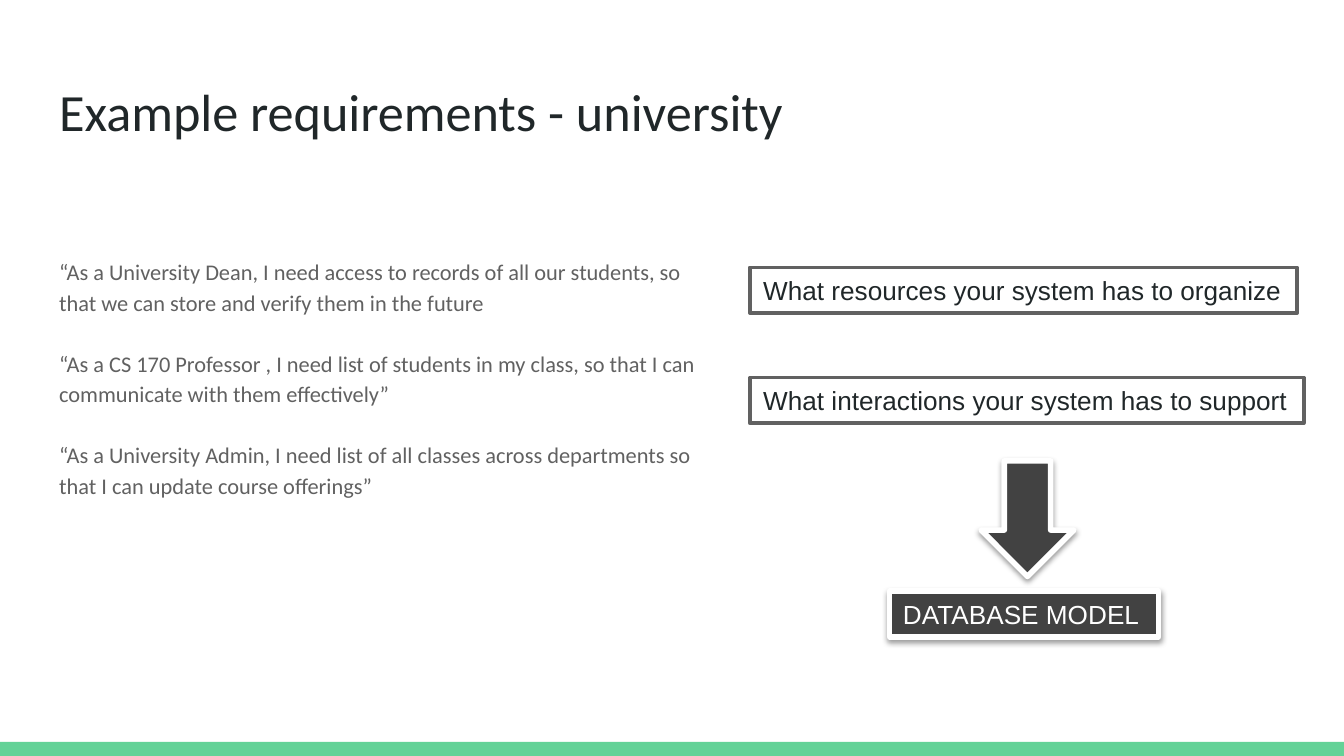
from dataclasses import dataclass

from lxml import etree
from pptx import Presentation
from pptx.dml.color import RGBColor
from pptx.enum.shapes import MSO_SHAPE
from pptx.enum.text import MSO_ANCHOR, MSO_AUTO_SIZE, PP_ALIGN
from pptx.oxml.ns import qn
from pptx.util import Inches, Pt

RECTANGLE = MSO_SHAPE.RECTANGLE
DOWN_ARROW = MSO_SHAPE.DOWN_ARROW
TOP, MIDDLE = MSO_ANCHOR.TOP, MSO_ANCHOR.MIDDLE
LEFT = PP_ALIGN.LEFT
NO_FIT, GROW = MSO_AUTO_SIZE.NONE, MSO_AUTO_SIZE.SHAPE_TO_FIT_TEXT

INK, GRAY, DARK, WHITE, GREEN = "202729", "616161", "424242", "FFFFFF", "63D297"


@dataclass
class Block:
    left: float
    top: float
    width: float
    height: float
    fill: str
    line: str | None = None
    line_width: float = 0
    text: str = ""
    text_color: str = INK
    kind: MSO_SHAPE = RECTANGLE
    shadow: bool = False


REQUIREMENTS = [
    "“As a University Dean, I need access to records of all our students, "
    "so that we can store and verify them in the future",
    "“As a CS 170 Professor , I need list of students in my class, "
    "so that I can communicate with them effectively”",
    "“As a University Admin, I need list of all classes across departments "
    "so that I can update course offerings”",
]

BLOCKS = [
    Block(0, 5.52, 10, 0.11, GREEN),
    Block(5.58, 1.99, 4.07, 0.34, WHITE, GRAY, 2,
          "What resources your system has to organize"),
    Block(5.58, 2.81, 4.12, 0.34, WHITE, GRAY, 2,
          "What interactions your system has to support"),
    Block(6.62, 4.4, 2, 0.34, DARK, WHITE, 3, "DATABASE MODEL", WHITE, shadow=True),
    Block(7.3, 3.43, 0.69, 0.86, DARK, WHITE, 3, kind=DOWN_ARROW, shadow=True),
]


def color(value: str) -> RGBColor:
    return RGBColor.from_string(value)


def write_text(paragraph, text: str, *, size: float, font: str, fill: str,
               line_spacing: float = 1.0, space_after: float = 0) -> None:
    paragraph.alignment = LEFT
    paragraph.line_spacing = line_spacing
    paragraph.space_before = Pt(0)
    paragraph.space_after = Pt(space_after)
    run = paragraph.add_run()
    run.text = text
    run.font.size = Pt(size)
    run.font.name = font
    run.font.color.rgb = color(fill)


def remove_bullet(paragraph) -> None:
    properties = paragraph._p.get_or_add_pPr()
    properties.set("marL", "0")
    properties.set("indent", "0")
    etree.SubElement(properties, qn("a:buNone"))


def add_shadow(shape) -> None:
    effects = shape._element.spPr.find(qn("a:effectLst"))
    outer = etree.SubElement(
        effects, qn("a:outerShdw"), blurRad=str(Pt(3.1)), dist=str(Pt(1.6)),
        dir="5400000", rotWithShape="0")
    shade = etree.SubElement(outer, qn("a:srgbClr"), val="000000")
    etree.SubElement(shade, qn("a:alpha"), val="38000")


def place_placeholder(shape, left: float, top: float, width: float, height: float):
    shape.left, shape.top = Inches(left), Inches(top)
    shape.width, shape.height = Inches(width), Inches(height)
    frame = shape.text_frame
    frame.margin_left = frame.margin_right = Inches(0.1)
    frame.margin_top = frame.margin_bottom = Inches(0.1)
    frame.vertical_anchor = TOP
    frame.auto_size = NO_FIT
    frame.word_wrap = True
    return frame


def add_block(slide, block: Block) -> None:
    shape = slide.shapes.add_shape(
        block.kind, Inches(block.left), Inches(block.top),
        Inches(block.width), Inches(block.height))
    shape.fill.solid()
    shape.fill.fore_color.rgb = color(block.fill)
    if block.line:
        shape.line.color.rgb = color(block.line)
        shape.line.width = Pt(block.line_width)
    else:
        shape.line.fill.background()
    shape.shadow.inherit = False
    if block.shadow:
        add_shadow(shape)
    if block.text:
        frame = shape.text_frame
        frame.word_wrap = False
        frame.auto_size = GROW
        frame.vertical_anchor = MIDDLE
        write_text(frame.paragraphs[0], block.text, size=14, font="Arial",
                   fill=block.text_color)


# Widescreen page, 16:9
presentation = Presentation()
presentation.slide_width = Inches(10)
presentation.slide_height = Inches(10 * 9 / 16)
slide = presentation.slides.add_slide(presentation.slide_layouts[1])

# Title
title = place_placeholder(slide.shapes.title, 0.34, 0.49, 9.32, 0.63)
write_text(title.paragraphs[0], "Example requirements - university",
           size=28, font="Calibri", fill=INK)

# User stories
body = place_placeholder(slide.placeholders[1], 0.34, 1.79, 4.99, 2.37)
for index, requirement in enumerate(REQUIREMENTS):
    paragraph = body.add_paragraph() if index else body.paragraphs[0]
    write_text(paragraph, requirement, size=12, font="Calibri", fill=GRAY,
               line_spacing=1.15, space_after=16)
    remove_bullet(paragraph)

# Footer bar, questions, arrow and result
for block in BLOCKS:
    add_block(slide, block)

presentation.save("out.pptx")
